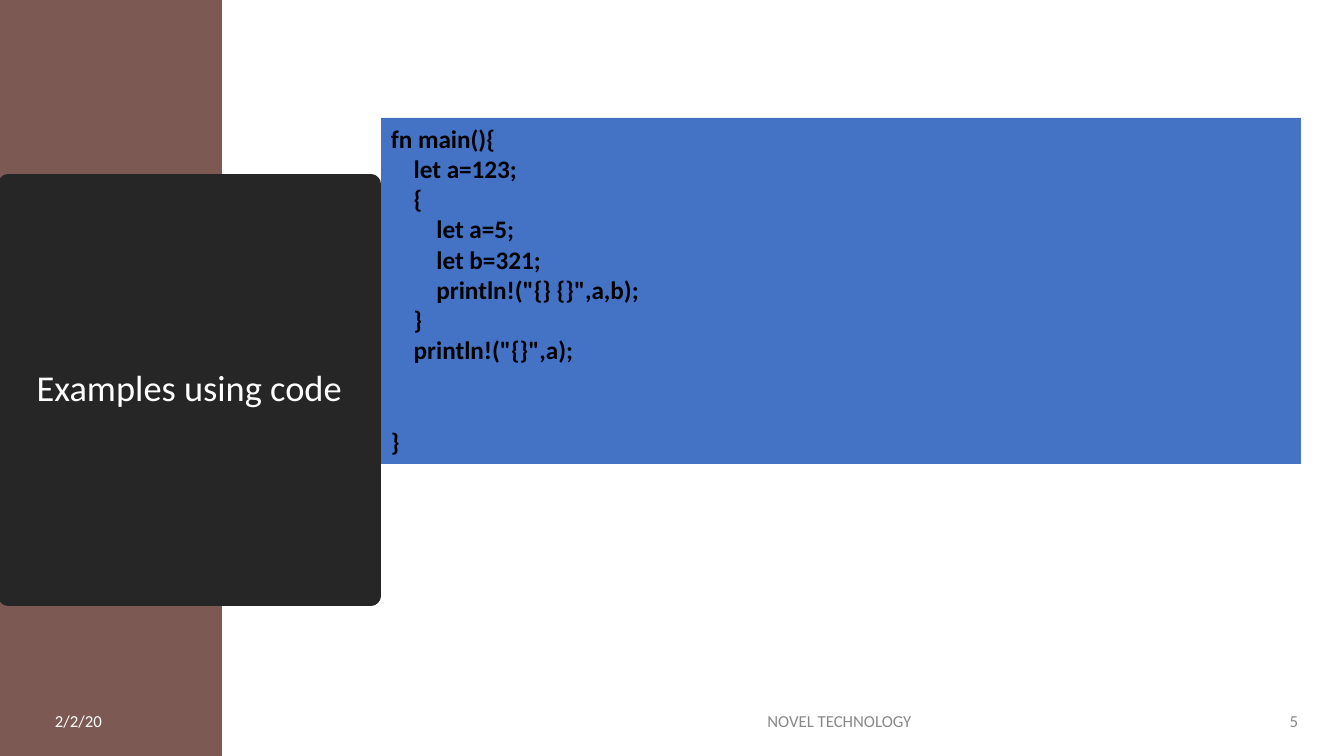
from pptx import Presentation
from pptx import util as u
from pptx.dml.color import RGBColor
from pptx.enum import shapes, text
from lxml import etree

THEME = {
    "font": "Calibri",
    "brown": "7C5952", "dark": "262626", "blue": "4472C4",
    "white": "FFFFFF", "grey": "898989", "black": "000000",
    "title": 26, "code": 18, "footer": 12,
}
PX = 914400 / 100.8
LEFT, CENTER, RIGHT = text.PP_ALIGN.LEFT, text.PP_ALIGN.CENTER, text.PP_ALIGN.RIGHT
TOP, MIDDLE = text.MSO_ANCHOR.TOP, text.MSO_ANCHOR.MIDDLE


def place(sp, box, fill=None):
    for name, value in zip(("left", "top", "width", "height"), box):
        setattr(sp, name, u.Emu(round(value * PX)))
    if fill:
        sp.fill.solid()
        sp.fill.fore_color.rgb = RGBColor.from_string(THEME[fill])


def write(sp, lines, size, color, align=LEFT, anchor=MIDDLE, bold=False, **spacing):
    tf = sp.text_frame
    tf.word_wrap = True
    tf.auto_size = text.MSO_AUTO_SIZE.NONE
    tf.vertical_anchor = anchor
    for i, line in enumerate(lines):
        p = tf.add_paragraph() if i else tf.paragraphs[0]
        for name, value in {"alignment": align, **spacing}.items():
            setattr(p, name, value)
        r = p.add_run()
        r.text = line
        for name, value in {"name": THEME["font"], "size": u.Pt(THEME[size]), "bold": bold}.items():
            setattr(r.font, name, value)
        r.font.color.rgb = RGBColor.from_string(THEME[color])


prs = Presentation()
prs.slide_width, prs.slide_height = u.Emu(round(1344 * PX)), u.Emu(round(756 * PX))
s = prs.slides.add_slide(prs.slide_layouts[5])

# Side bar, behind the title
bar = s.shapes.add_shape(shapes.MSO_SHAPE.RECTANGLE, 0, 0, 0, 0)
place(bar, (0, 0, 222, 756), "brown")
bar.line.fill.background()
bar.shadow.inherit = False
s.shapes.title.element.addprevious(bar.element)

# Title block, its corners rounded by a thick line
title = s.shapes.title
place(title, (8, 184, 363, 412), "dark")
title.line.color.rgb = RGBColor.from_string(THEME["dark"])
title.line.width = u.Pt(13.75)
line_xml = title.line.fill._xPr
etree.SubElement(line_xml, line_xml.tag.replace("}ln", "}round"))
write(title, ["Examples using code"], "title", "white", CENTER, line_spacing=0.9)

# Code panel
code = s.shapes.add_shape(shapes.MSO_SHAPE.RECTANGLE, 0, 0, 0, 0)
place(code, (381, 118, 920, 346), "blue")
code.line.fill.background()
code.shadow.inherit = False
CODE_LINES = [
    "fn main(){",
    "    let a=123;",
    "    {",
    "        let a=5;",
    "        let b=321;",
    '        println!("{} {}",a,b);',
    "    }",
    '    println!("{}",a);',
    "}",
]
write(code, CODE_LINES, "code", "black", anchor=TOP, bold=True)
code.text_frame.paragraphs[-1].space_before = u.Pt(44)

# Footer: date, organisation, slide number
for words, left, width, color, align in (
    ("2/2/20", 45, 163, "white", LEFT),
    ("NOVEL TECHNOLOGY", 454, 771, "grey", CENTER),
    ("5", 1247, 61, "grey", RIGHT),
):
    footer = s.shapes.add_textbox(0, 0, 0, 0)
    place(footer, (left, 701, width, 40))
    write(footer, [words], "footer", color, align, space_after=u.Pt(6))

prs.save("out.pptx")
